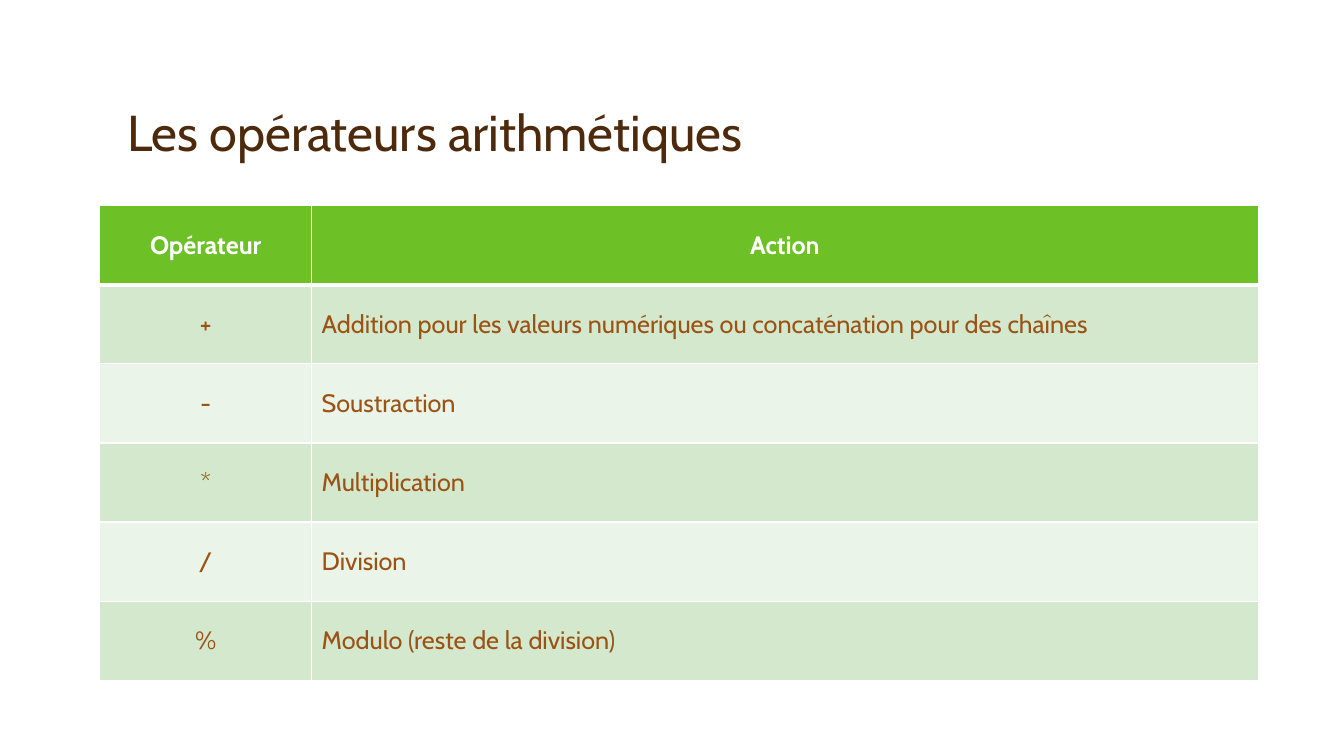
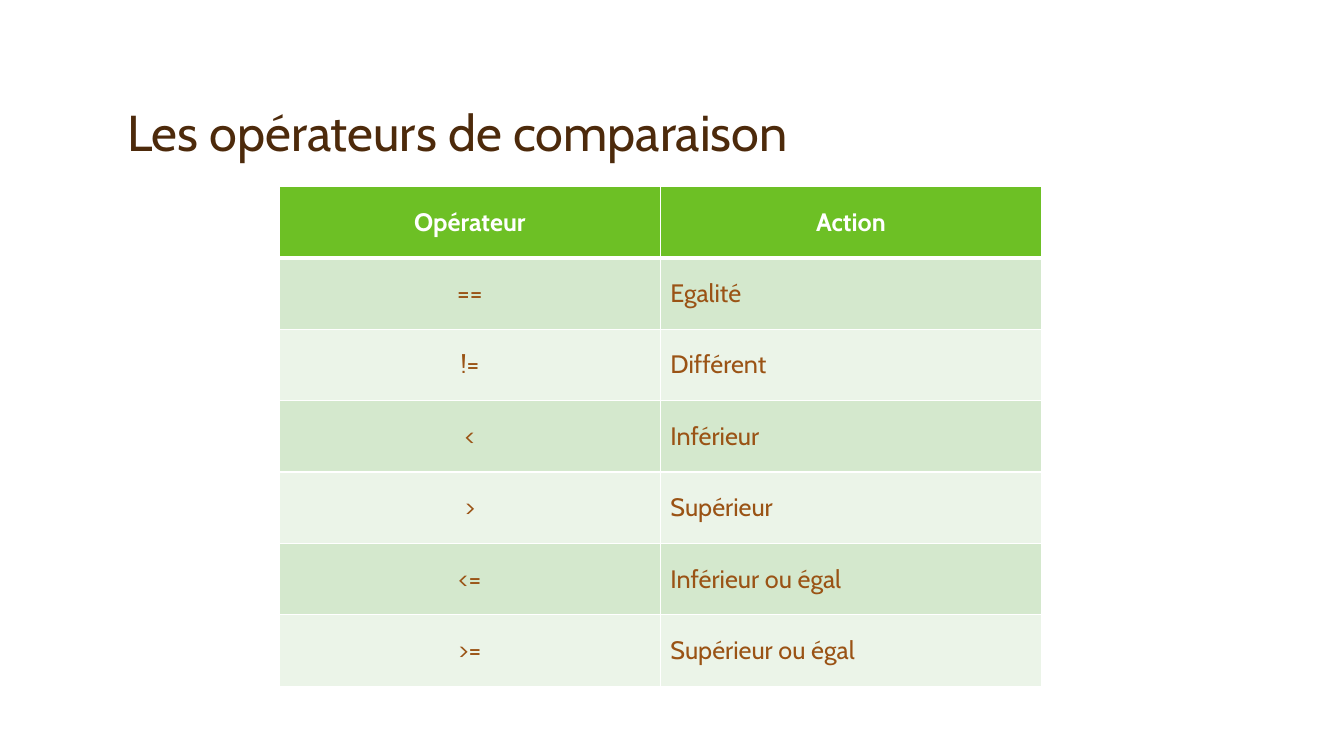
import pptx
import pptx.util
import pptx.dml.color
import pptx.enum.text
import pptx.oxml.ns
import lxml.etree

Inches = pptx.util.Inches
Pt = pptx.util.Pt
RGBColor = pptx.dml.color.RGBColor
ALIGN = pptx.enum.text.PP_ALIGN
ANCHOR = pptx.enum.text.MSO_ANCHOR
qn = pptx.oxml.ns.qn

FONT = "Cabin"
BROWN = RGBColor(0x4D, 0x2A, 0x0B)
RUST = RGBColor(0x9A, 0x53, 0x15)
WHITE = RGBColor(0xFF, 0xFF, 0xFF)
GREEN = RGBColor(0x6D, 0xC0, 0x25)
BANDS = [RGBColor(0xEB, 0xF4, 0xE8), RGBColor(0xD4, 0xE8, 0xCD)]

HEADER = ("Opérateur", "Action")
SLIDES = [
    {
        "title": "Les opérateurs arithmétiques",
        "left": 0.99, "top": 2.04, "cols": (2.1, 9.39), "height": 4.71,
        "rows": [
            ("+", "Addition pour les valeurs numériques ou concaténation pour des chaînes"),
            ("-", "Soustraction"),
            ("*", "Multiplication"),
            ("/", "Division"),
            ("%", "Modulo (reste de la division)"),
        ],
    },
    {
        "title": "Les opérateurs de comparaison",
        "left": 2.77, "top": 1.85, "cols": (3.78, 3.78), "height": 4.96,
        "rows": [
            ("==", "Egalité"),
            ("!=", "Différent"),
            ("<", "Inférieur"),
            (">", "Supérieur"),
            ("<=", "Inférieur ou égal"),
            (">=", "Supérieur ou égal"),
        ],
    },
]


def write(tf, text, size=18, color=RUST, bold=False, align=ALIGN.LEFT, spacing=1.0):
    p = tf.paragraphs[0]
    p.alignment = align
    p.line_spacing = spacing
    r = p.add_run()
    r.text = text
    r.font.name = FONT
    r.font.size = Pt(size)
    r.font.bold = bold
    r.font.color.rgb = color


def add_borders(cell, **widths):
    tcPr = cell._tc.get_or_add_tcPr()
    for side in "LRTB":
        ln = lxml.etree.SubElement(tcPr, qn(f"a:ln{side}"), w=str(Pt(widths.get(side, 1))))
        fill = lxml.etree.SubElement(ln, qn("a:solidFill"))
        lxml.etree.SubElement(fill, qn("a:srgbClr"), val=str(WHITE))


prs = pptx.Presentation()
prs.slide_width = Inches(13.33)
prs.slide_height = Inches(7.5)

for data in SLIDES:
    s = prs.slides.add_slide(prs.slide_layouts[5])
    title = s.shapes.title
    title.left, title.top = Inches(1.16), Inches(0.33)
    title.width, title.height = Inches(11), Inches(1.33)
    tf = title.text_frame
    tf.auto_size = pptx.enum.text.MSO_AUTO_SIZE.NONE
    tf.vertical_anchor = ANCHOR.BOTTOM
    write(tf, data["title"], size=36, color=BROWN, spacing=0.9)

    rows = [HEADER] + data["rows"]
    table = s.shapes.add_table(
        len(rows), len(HEADER), Inches(data["left"]), Inches(data["top"]),
        Inches(sum(data["cols"])), Inches(data["height"])).table
    for col, width in zip(table.columns, data["cols"]):
        col.width = Inches(width)

    for i, row in enumerate(rows):
        header = i == 0
        for j, text in enumerate(row):
            cell = table.cell(i, j)
            add_borders(cell, T=3 if i == 1 else 1, B=3 if header else 1)
            cell.fill.solid()
            cell.fill.fore_color.rgb = GREEN if header else BANDS[i % 2]
            cell.vertical_anchor = ANCHOR.MIDDLE
            write(cell.text_frame, text, bold=header,
                  color=WHITE if header else RUST,
                  align=ALIGN.CENTER if header or j == 0 else ALIGN.LEFT)

prs.save("out.pptx")
